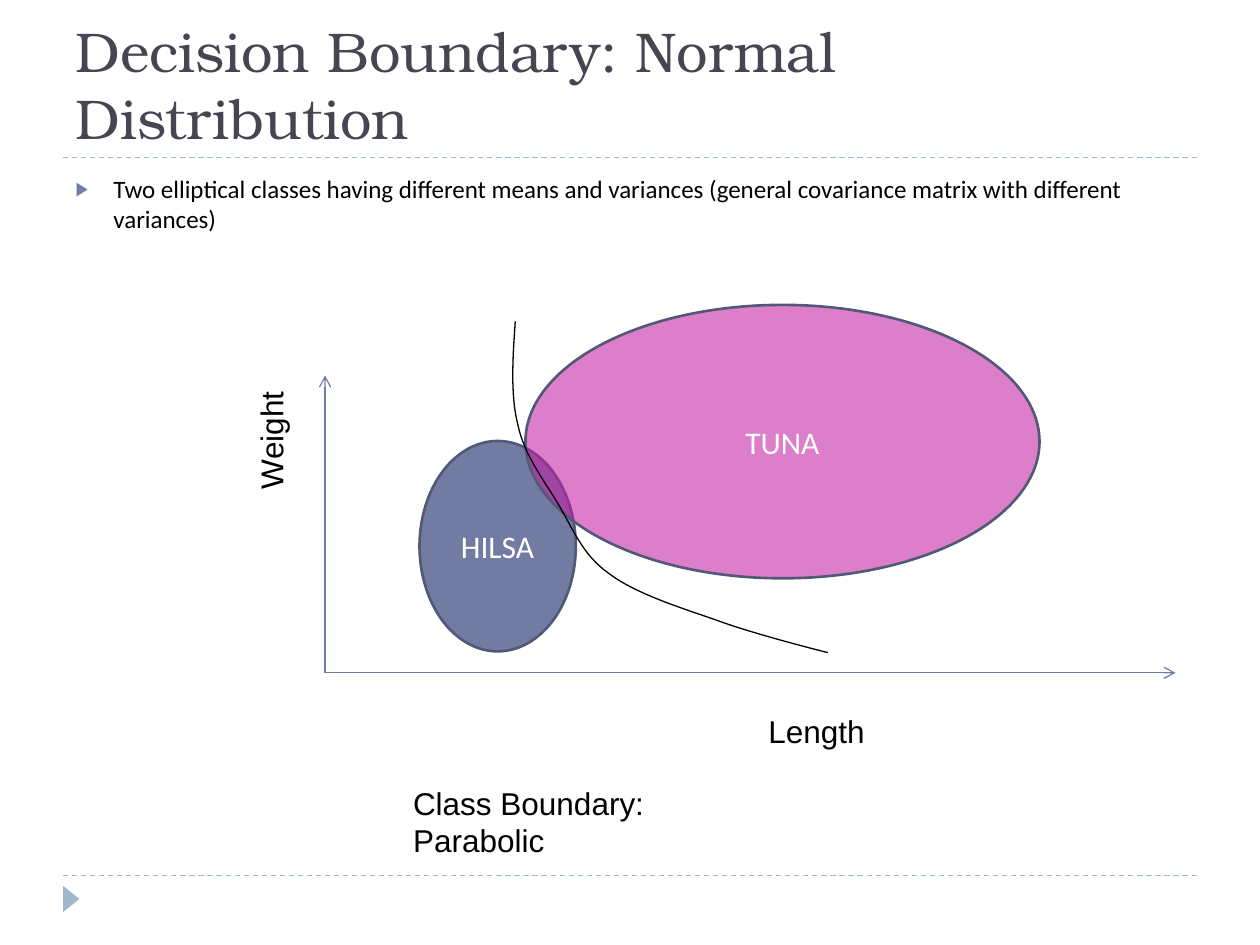
from lxml.etree import SubElement
from pptx import Presentation
from pptx.dml.color import RGBColor
from pptx.enum.dml import MSO_LINE_DASH_STYLE as Dash
from pptx.enum.shapes import MSO_CONNECTOR_TYPE as Connector, MSO_SHAPE as Shape
from pptx.enum.text import MSO_ANCHOR as Anchor, MSO_AUTO_SIZE as AutoSize, PP_ALIGN as Align
from pptx.oxml.ns import qn
from pptx.util import Inches, Pt

BLACK = RGBColor(0, 0, 0)
WHITE = RGBColor(255, 255, 255)
TITLE_GREY = RGBColor(0x46, 0x46, 0x53)
RULE_BLUE = RGBColor(0x9F, 0xB8, 0xCD)
SLATE = RGBColor(0x72, 0x7C, 0xA3)
DARK_SLATE = RGBColor(0x52, 0x59, 0x77)
MAGENTA = RGBColor(0xC3, 0x1D, 0xA3)

BOUNDARY_START = (4.09, 2.55)
BOUNDARY_CURVES = [
    ((4.07, 2.84), (4.05, 3.13), (4.11, 3.37)),
    ((4.16, 3.61), (4.31, 3.8), (4.43, 4)),
    ((4.55, 4.2), (4.62, 4.4), (4.83, 4.55)),
    ((5.04, 4.71), (5.39, 4.82), (5.68, 4.92)),
    ((5.97, 5.03), (6.57, 5.18), (6.57, 5.18)),
]


def write_text(frame, text, size=18, font="Arial", color=BLACK, align=Align.LEFT,
               anchor=Anchor.TOP, wrap=True, fit=AutoSize.NONE, bullet=None):
    frame.word_wrap = wrap
    frame.auto_size = fit
    frame.vertical_anchor = anchor
    paragraph = frame.paragraphs[0]
    paragraph.text = text
    paragraph.alignment = align
    paragraph.space_before = Pt(0)
    if bullet:
        add_bullet(paragraph, bullet)
    paragraph.font.size = Pt(size)
    paragraph.font.name = font
    paragraph.font.color.rgb = color


def add_bullet(paragraph, char, indent=0.3, percent=76):
    props = paragraph._p.get_or_add_pPr()
    props.set("marL", str(Inches(indent)))
    props.set("indent", str(-Inches(indent)))
    tint = SubElement(props, qn("a:buClr"))
    SubElement(tint, qn("a:srgbClr"), val=str(SLATE))
    SubElement(props, qn("a:buSzPct"), val=str(percent * 1000))
    SubElement(props, qn("a:buFont"), typeface="Arial")
    SubElement(props, qn("a:buChar"), char=char)


def bezier_points(start, curves, steps=16):
    points = []
    for first, second, end in curves:
        for step in range(1, steps + 1):
            t = step / steps
            weights = ((1 - t) ** 3, 3 * t * (1 - t) ** 2, 3 * t ** 2 * (1 - t), t ** 3)
            corners = (start, first, second, end)
            points.append(tuple(Inches(sum(w * c[axis] for w, c in zip(weights, corners)))
                                for axis in (0, 1)))
        start = end
    return points


class FishSlide:
    def __init__(self, deck):
        self.slide = deck.slides.add_slide(deck.slide_layouts[1])
        self.shapes = self.slide.shapes

    def placeholder(self, index, box, text, **style):
        holder = self.slide.placeholders[index]
        holder.left, holder.top, holder.width, holder.height = map(Inches, box)
        write_text(holder.text_frame, text, **style)

    def line(self, start, end, color, dash=None, arrow=False):
        rule = self.shapes.add_connector(Connector.STRAIGHT, *map(Inches, start + end))
        rule.line.color.rgb = color
        rule.line.width = Pt(0.75)
        if dash:
            rule.line.dash_style = dash
        if arrow:
            SubElement(rule.line._get_or_add_ln(), qn("a:tailEnd"), type="arrow")
        SubElement(rule._element.spPr, qn("a:effectLst"))

    def shape(self, kind, box, fill, outline=None, alpha=None, rotation=0):
        figure = self.shapes.add_shape(kind, *map(Inches, box))
        figure.shadow.inherit = False
        figure.rotation = rotation
        figure.fill.solid()
        figure.fill.fore_color.rgb = fill
        if alpha:
            tint = figure._element.spPr.find(qn("a:solidFill"))[0]
            SubElement(tint, qn("a:alpha"), val=str(alpha * 1000))
        if outline:
            figure.line.color.rgb = outline
            figure.line.width = Pt(1.5)
        else:
            figure.line.fill.background()
        return figure

    def fish_class(self, box, name, fill, alpha=None):
        ellipse = self.shape(Shape.OVAL, box, fill, DARK_SLATE, alpha)
        write_text(ellipse.text_frame, name, font="Calibri", color=WHITE,
                   align=Align.CENTER, anchor=Anchor.MIDDLE)

    def label(self, box, text, rotation=0, wrap=True):
        caption = self.shapes.add_textbox(*map(Inches, box))
        caption.rotation = rotation
        write_text(caption.text_frame, text, wrap=wrap, fit=AutoSize.SHAPE_TO_FIT_TEXT)

    def curve(self, start, curves):
        builder = self.shapes.build_freeform(*map(Inches, start), scale=1.0)
        builder.add_line_segments(bezier_points(start, curves), close=False)
        boundary = builder.convert_to_shape()
        boundary.shadow.inherit = False
        boundary.fill.background()
        boundary.line.color.rgb = BLACK
        boundary.line.width = Pt(0.75)


def main():
    deck = Presentation()
    deck.slide_width, deck.slide_height = Inches(10), Inches(7.5)
    page = FishSlide(deck)

    for y in (6.95, 1.25):
        page.line((0.5, y), (9.5, y), RULE_BLUE, dash=Dash.DASH)
    page.shape(Shape.ISOSCELES_TRIANGLE, (0.46, 7.07, 0.21, 0.13), RULE_BLUE, rotation=90)
    page.placeholder(0, (0.5, 0.17, 9, 1.08), "Decision Boundary: Normal Distribution",
                     size=32, font="TeX Gyre Bonum", color=TITLE_GREY, anchor=Anchor.BOTTOM)
    page.placeholder(1, (0.5, 1.33, 9, 0.58),
                     "Two elliptical classes having different means and variances "
                     "(general covariance matrix with different variances)",
                     size=14.3, font="Calibri", bullet="▶")

    origin = (2.58, 5.34)
    for axis_end in ((9.33, 5.34), (2.58, 2.98)):
        page.line(origin, axis_end, SLATE, arrow=True)
    page.fish_class((3.33, 3.5, 1.24, 1.67), "HILSA", SLATE)
    page.fish_class((4.17, 2.42, 4.08, 2.17), "TUNA", MAGENTA, alpha=57)
    page.label((6, 5.6, 1.58, 0.4), "Length")
    page.label((1.2, 2.83, 1.9, 0.4), "Weight", rotation=270)
    page.label((3.18, 6.17, 3.14, 0.4), "Class Boundary: Parabolic", wrap=False)
    page.curve(BOUNDARY_START, BOUNDARY_CURVES)

    deck.save("out.pptx")


if __name__ == "__main__":
    main()
